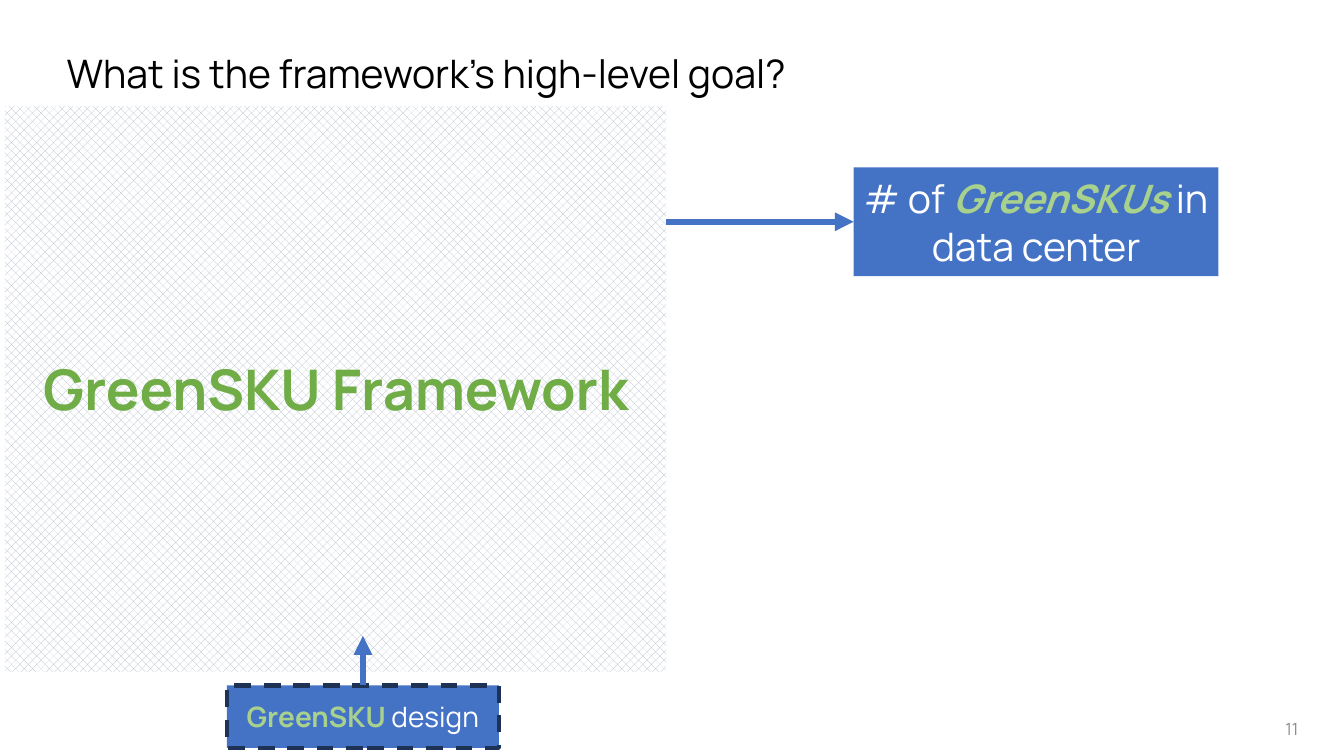
import pptx
import pptx.dml.color
import pptx.enum.dml
import pptx.enum.shapes
import pptx.enum.text
import pptx.oxml
import pptx.oxml.ns
import pptx.util

Pt = pptx.util.Pt
Shape = pptx.enum.shapes.MSO_SHAPE
Align = pptx.enum.text.PP_ALIGN
Anchor = pptx.enum.text.MSO_ANCHOR

FONT = "Manrope"
COLORS = {
    "black": "000000",
    "white": "FFFFFF",
    "gray": "8C8C8C",
    "blue": "4472C4",
    "navy": "1E3256",
    "mist": "ADB9CA",
    "light": "A9D18E",
    "green": "70AD47",
    "forest": "385723",
}


def color(name):
    return pptx.dml.color.RGBColor.from_string(COLORS[name])


def xml(tag, body=""):
    space = pptx.oxml.ns.nsdecls("a")
    return pptx.oxml.parse_xml(f"<a:{tag} {space}>{body}</a:{tag}>")


def write(shape, *runs, size, align=Align.CENTER, anchor=Anchor.MIDDLE, spacing=None):
    """Fill a shape with one paragraph of (text, color, style letters) runs."""
    frame = shape.text_frame
    frame.word_wrap = True
    frame.vertical_anchor = anchor
    para = frame.paragraphs[0]
    para.alignment = align
    para.line_spacing = spacing
    for text, tint, style in runs:
        run = para.add_run()
        run.text = text
        font = run.font
        font.name = FONT
        font.size = Pt(size)
        font.bold = "b" in style
        font.italic = "i" in style
        font.color.rgb = color(tint)
    return para


def place(shape, left, top, width, height):
    shape.left, shape.top = Pt(left), Pt(top)
    shape.width, shape.height = Pt(width), Pt(height)


def add_text(slide, box, *runs, **style):
    shape = slide.shapes.add_textbox(*map(Pt, box))
    return write(shape, *runs, **style)


def add_box(slide, box, kind=Shape.RECTANGLE):
    shape = slide.shapes.add_shape(kind, *map(Pt, box))
    shape.shadow.inherit = False
    shape.fill.solid()
    shape.fill.fore_color.rgb = color("blue")
    shape.line.fill.background()
    return shape


def add_arrow(slide, start, end):
    arrow = slide.shapes.add_connector(
        pptx.enum.shapes.MSO_CONNECTOR.STRAIGHT, *map(Pt, start + end))
    arrow.line.color.rgb = color("blue")
    arrow.line.width = Pt(4.5)
    head = xml("tailEnd")
    head.set("type", "triangle")
    arrow.line._get_or_add_ln().append(head)
    arrow._element.spPr.append(xml("effectLst"))


def outline(run, tint, width):
    """Draw a line around the letters of a run."""
    fill = f'<a:solidFill><a:srgbClr val="{COLORS[tint]}"/></a:solidFill>'
    line = xml("ln", fill)
    line.set("w", str(int(Pt(width))))
    run._r.get_or_add_rPr().insert(0, line)


def add_title(slide, text):
    title = slide.shapes.title
    place(title, 40.3, 2.2, 884.9, 104.4)
    write(title, (text, "black", ""), size=28, align=Align.LEFT, spacing=0.9)


def add_design(slide, box):
    design = add_box(slide, box)
    design.line.color.rgb = color("navy")
    design.line.width = Pt(3)
    design.line.dash_style = pptx.enum.dml.MSO_LINE.DASH
    write(design, ("GreenSKU", "light", "b"), (" design", "white", ""), size=20)


def add_panel(slide, box):
    panel = add_box(slide, box, Shape.ROUNDED_RECTANGLE)
    panel.adjustments[0] = 0
    panel.fill.patterned()
    panel.fill.pattern = pptx.enum.dml.MSO_PATTERN.from_xml("pct40")
    panel.fill.fore_color.rgb = color("mist")
    panel.fill.back_color.rgb = color("white")


def main():
    deck = pptx.Presentation()
    deck.slide_width, deck.slide_height = Pt(960), Pt(540)
    slide = deck.slides.add_slide(deck.slide_layouts[5])

    add_title(slide, "What is the framework’s high-level goal?")
    add_text(slide, (718.6, 506.2, 216, 28.8), ("11", "gray", ""),
             size=12, align=Align.RIGHT)
    add_design(slide, (162, 489.6, 194.4, 44.6))

    result = add_box(slide, (609.8, 119.5, 260.6, 77.8))
    write(result, ("# of ", "white", ""), ("GreenSKUs", "light", "bi"),
          (" in data center", "white", ""), size=28)
    add_arrow(slide, (475.9, 158.4), (609.8, 158.4))

    add_panel(slide, (3.6, 76.3, 472.3, 403.2))
    name = add_text(slide, (5.8, 249.8, 468, 55.4),
                    ("GreenSKU Framework", "green", "b"),
                    size=40, anchor=Anchor.TOP)
    outline(name.runs[0], "forest", 1.75)
    add_arrow(slide, (259.2, 489.6), (259.2, 454.3))

    deck.save("out.pptx")


if __name__ == "__main__":
    main()
